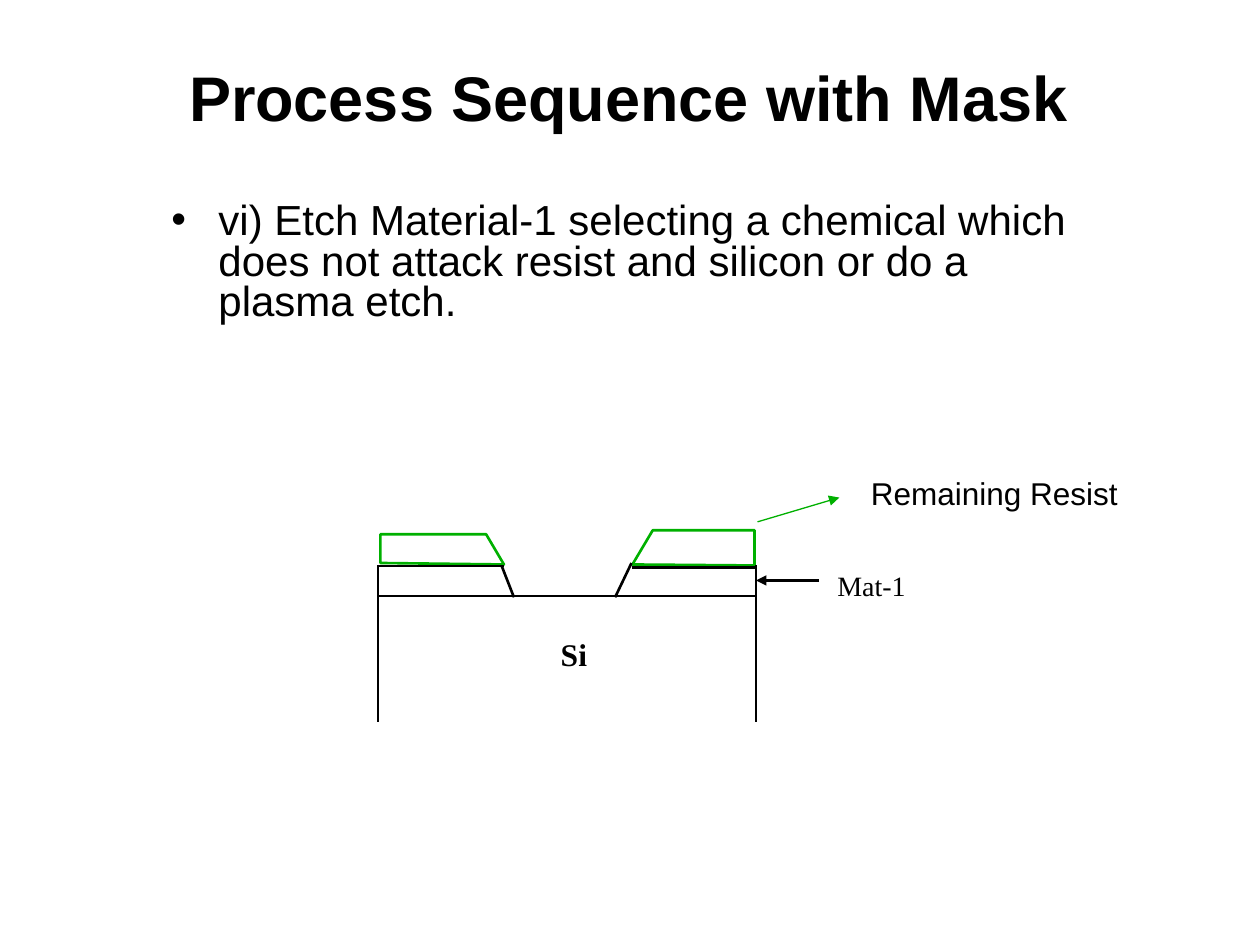
from lxml.etree import SubElement
from pptx import Presentation
from pptx.dml.color import RGBColor
from pptx.enum.shapes import MSO_CONNECTOR
from pptx.enum.text import MSO_ANCHOR, MSO_AUTO_SIZE, PP_ALIGN
from pptx.oxml.ns import qn
from pptx.util import Cm, Pt

BLACK = RGBColor(0x00, 0x00, 0x00)
GREEN = RGBColor(0x00, 0xB0, 0x00)
THIN, MEDIUM, THICK = 0.75, 1, 1.5


def write(frame, text, size=18, font="Arial", bold=False, align=PP_ALIGN.CENTER):
    paragraph = frame.paragraphs[0]
    paragraph.alignment = align
    run = paragraph.add_run()
    run.text = text
    run.font.size = Pt(size)
    run.font.name = font
    run.font.bold = bold
    run.font.color.rgb = BLACK
    return paragraph


class Diagram:
    """Draws titles, bullets, labels, lines and outlines on one slide."""

    def __init__(self, presentation):
        self.slide = presentation.slides.add_slide(presentation.slide_layouts[1])

    def place(self, shape, left, top, width, height):
        shape.left, shape.top = Cm(left), Cm(top)
        shape.width, shape.height = Cm(width), Cm(height)
        shape.text_frame.auto_size = MSO_AUTO_SIZE.NONE
        shape.text_frame.word_wrap = True
        return shape.text_frame

    def title(self, text, *box):
        frame = self.place(self.slide.shapes.title, *box)
        frame.vertical_anchor = MSO_ANCHOR.MIDDLE
        write(frame, text, size=36, bold=True)

    def bullet(self, text, *box):
        frame = self.place(self.slide.placeholders[1], *box)
        frame.vertical_anchor = MSO_ANCHOR.TOP
        paragraph = write(frame, text, size=24, align=PP_ALIGN.LEFT)
        paragraph.line_spacing = 0.8
        paragraph.space_before = Pt(6)
        properties = paragraph._p.get_or_add_pPr()
        properties.set("marL", str(Cm(0.95)))
        properties.set("indent", str(Cm(-0.95)))
        SubElement(properties, qn("a:buFont"), typeface="Arial")
        SubElement(properties, qn("a:buChar"), char="•")

    def label(self, text, left, top, width, height, **style):
        box = self.slide.shapes.add_textbox(Cm(left), Cm(top), Cm(width), Cm(height))
        frame = box.text_frame
        frame.margin_left = frame.margin_right = 0
        frame.margin_top = frame.margin_bottom = 0
        frame.word_wrap = False
        write(frame, text, **style)

    def line(self, start, end, weight, color=BLACK, arrow=False):
        points = [Cm(value) for value in (*start, *end)]
        connector = self.slide.shapes.add_connector(MSO_CONNECTOR.STRAIGHT, *points)
        connector.line.color.rgb = color
        connector.line.width = Pt(weight)
        if arrow:
            SubElement(connector.line._get_or_add_ln(), qn("a:tailEnd"), type="triangle")
        SubElement(connector._element.spPr, qn("a:effectLst"))

    def outline(self, points, color):
        first, *rest = [(Cm(x), Cm(y)) for x, y in points]
        builder = self.slide.shapes.build_freeform(*first)
        builder.add_line_segments(rest, close=True)
        shape = builder.convert_to_shape()
        shape.shadow.inherit = False
        shape.fill.background()
        shape.line.color.rgb = color
        shape.line.width = Pt(THICK)


def main():
    presentation = Presentation()
    presentation.slide_width, presentation.slide_height = Cm(25.4), Cm(19.05)
    diagram = Diagram(presentation)
    diagram.title("Process Sequence with Mask", 1.24, 0.81, 22.86, 2.26)
    diagram.bullet(
        "vi) Etch Material-1 selecting a chemical which does not attack "
        "resist and silicon or do a plasma etch.", 3.2, 3.98, 18.9, 2.74)

    left_wall, right_wall, surface = 7.62, 15.24, 12.01
    left_resist = [(7.67, 11.35), (7.67, 10.77), (9.8, 10.77), (10.16, 11.38)]
    right_resist = [(12.75, 11.38), (13.16, 10.69), (15.21, 10.69), (15.21, 11.4)]
    for resist in (left_resist, right_resist):
        diagram.outline(resist, GREEN)
    for wall in (left_wall, right_wall):
        diagram.line((wall, 14.55), (wall, 11.38), MEDIUM)
    diagram.line((left_wall, surface), (right_wall, surface), MEDIUM)

    material_edges = [
        ((10.11, 11.4), (10.36, 12.04)),
        ((12.4, 12.04), (12.73, 11.35)),
        ((7.65, 11.41), (10.16, 11.41)),
        ((12.75, 11.44), (15.27, 11.44)),
    ]
    for start, end in material_edges:
        diagram.line(start, end, THICK)

    diagram.line((15.27, 10.52), (16.92, 10.03), THIN, GREEN, arrow=True)
    diagram.line((16.51, 11.7), (right_wall, 11.7), THICK, arrow=True)
    diagram.label("Remaining Resist", 17.15, 9.55, 5.79, 0.76)
    diagram.label("Mat-1", 16.57, 11.46, 2, 0.69, size=16, font="Times New Roman")
    diagram.label("Si", 11.07, 12.8, 1, 0.76, font="Times New Roman", bold=True)
    presentation.save("out.pptx")


main()
